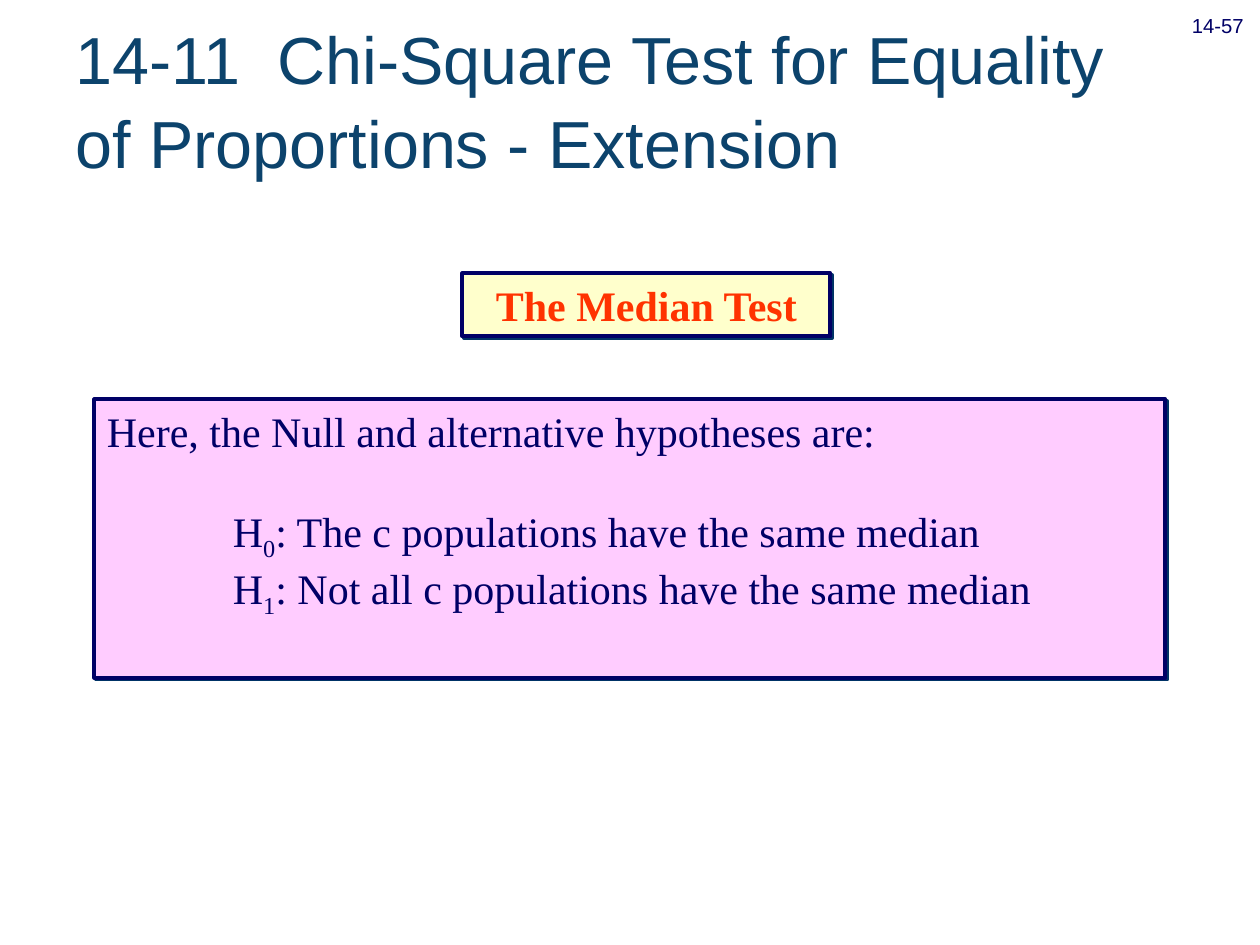
from lxml import etree
from pptx import Presentation
from pptx.dml.color import RGBColor
from pptx.enum.shapes import MSO_SHAPE
from pptx.enum.text import MSO_ANCHOR, PP_ALIGN
from pptx.oxml import parse_xml
from pptx.oxml.ns import nsdecls
from pptx.util import Inches, Pt

THEME = {
    "sans": "Arial", "serif": "Times New Roman",
    "title": "0C436C", "navy": "000066", "shadow": "003366",
    "heading": "FF3300", "cream": "FFFFCC", "pink": "FFCCFF",
    "title_size": 38, "body_size": 24, "number_size": 20,
}


def add_span(paragraph, text, font, size, color, baseline=0):
    """Append a styled run, lowered when baseline is a negative percentage."""
    span = paragraph.add_run()
    span.text = text
    span.font.name = THEME[font]
    span.font.size = Pt(THEME[size])
    span.font.color.rgb = RGBColor.from_string(THEME[color])
    if baseline:
        span.font._element.set("baseline", str(baseline * 1000))
    return span


def add_panel(page, left, top, width, height, fill):
    """Add a navy-outlined rectangle with a hard offset shadow."""
    box = page.shapes.add_shape(MSO_SHAPE.RECTANGLE, Inches(left), Inches(top),
                                Inches(width), Inches(height))
    box.fill.solid()
    box.fill.fore_color.rgb = RGBColor.from_string(THEME[fill])
    box.line.color.rgb = RGBColor.from_string(THEME["navy"])
    box.line.width = Pt(2.24)
    box.shadow.inherit = False
    effects = box._element.spPr.find(".//{*}effectLst")
    effects.append(parse_xml(
        f'<a:outerShdw {nsdecls("a")} dist="{Pt(1.4)}" dir="2700000" algn="ctr" '
        f'rotWithShape="0"><a:srgbClr val="{THEME["shadow"]}"/></a:outerShdw>'))
    box.text_frame.word_wrap = True
    return box


deck = Presentation()
deck.slide_width, deck.slide_height = Inches(10), Inches(7.5)
page = deck.slides.add_slide(deck.slide_layouts[6])

title = page.shapes.add_textbox(Inches(0.5), Inches(0.15), Inches(9.27), Inches(1.25))
title.text_frame.word_wrap = True
title.text_frame.vertical_anchor = MSO_ANCHOR.MIDDLE
title_line = title.text_frame.paragraphs[0]
title_line.line_spacing = 1.05
add_span(title_line, "14-11  Chi-Square Test for Equality ", "sans", "title_size", "title")
title_line.add_line_break()
add_span(title_line, "of Proportions - Extension", "sans", "title_size", "title")

heading = add_panel(page, 3.67, 2.17, 2.92, 0.5, "cream")
heading.text_frame.vertical_anchor = MSO_ANCHOR.MIDDLE
heading_line = heading.text_frame.paragraphs[0]
heading_line.alignment = PP_ALIGN.CENTER
add_span(heading_line, "The Median Test", "serif", "body_size", "heading").font.bold = True

hypotheses = add_panel(page, 0.75, 3.17, 8.5, 2.21, "pink")
hypotheses.text_frame.vertical_anchor = MSO_ANCHOR.TOP
intro = hypotheses.text_frame.paragraphs[0]
intro.alignment = PP_ALIGN.LEFT
add_span(intro, "Here, the Null and alternative hypotheses are:", "serif", "body_size", "navy")

statements = ["The c populations have the same median",
              "Not all c populations have the same median"]
for index, statement in enumerate(statements):
    paragraph = hypotheses.text_frame.add_paragraph()
    paragraph.alignment = PP_ALIGN.LEFT
    paragraph.space_before = Pt(28 if index == 0 else 0)
    paragraph._p.get_or_add_pPr().set("marL", str(Inches(1)))
    for text, baseline in (("H", 0), (str(index), -25), (f": {statement}", 0)):
        add_span(paragraph, text, "serif", "body_size", "navy", baseline)

number = page.shapes.add_textbox(Inches(9.29), Inches(-0.13), Inches(0.75), Inches(0.48))
number.text_frame.word_wrap = True
number_line = number.text_frame.paragraphs[0]
number_line.alignment = PP_ALIGN.CENTER
add_span(number_line, "14-57", "sans", "number_size", "navy", -25)

deck.save("out.pptx")
